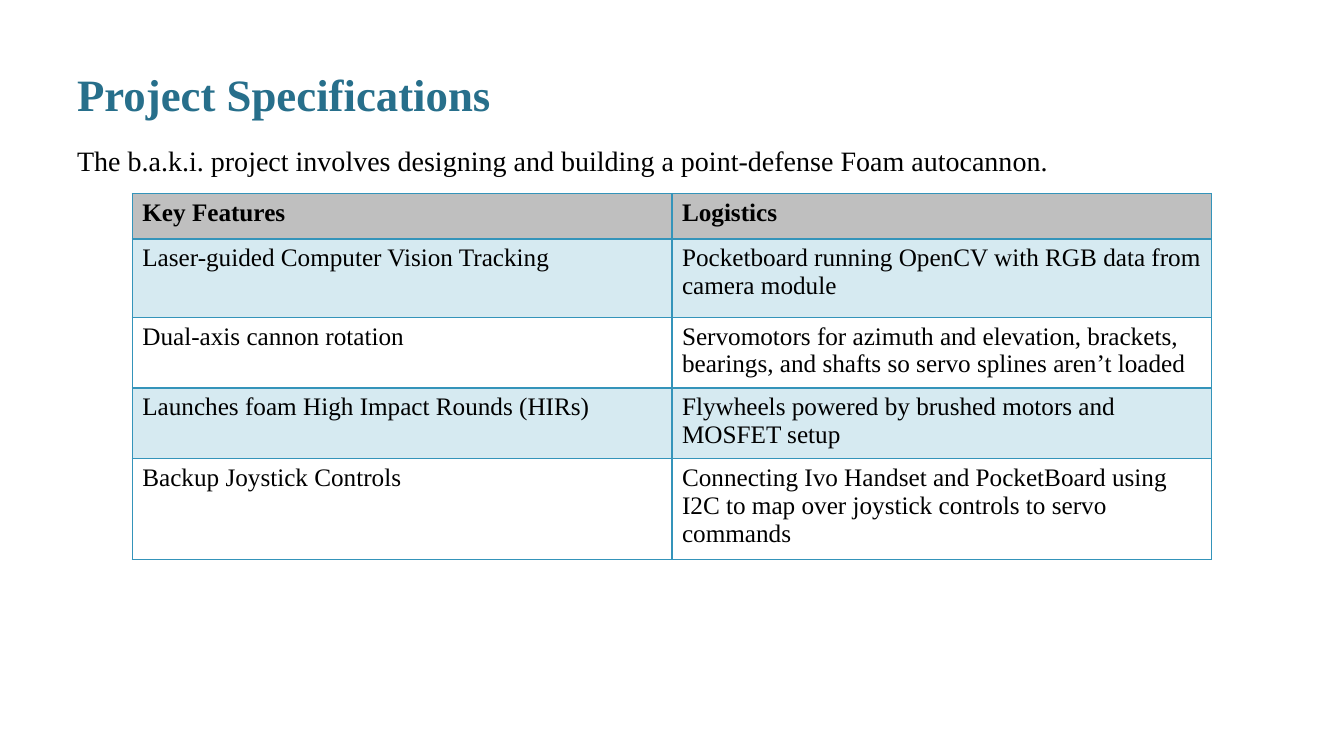
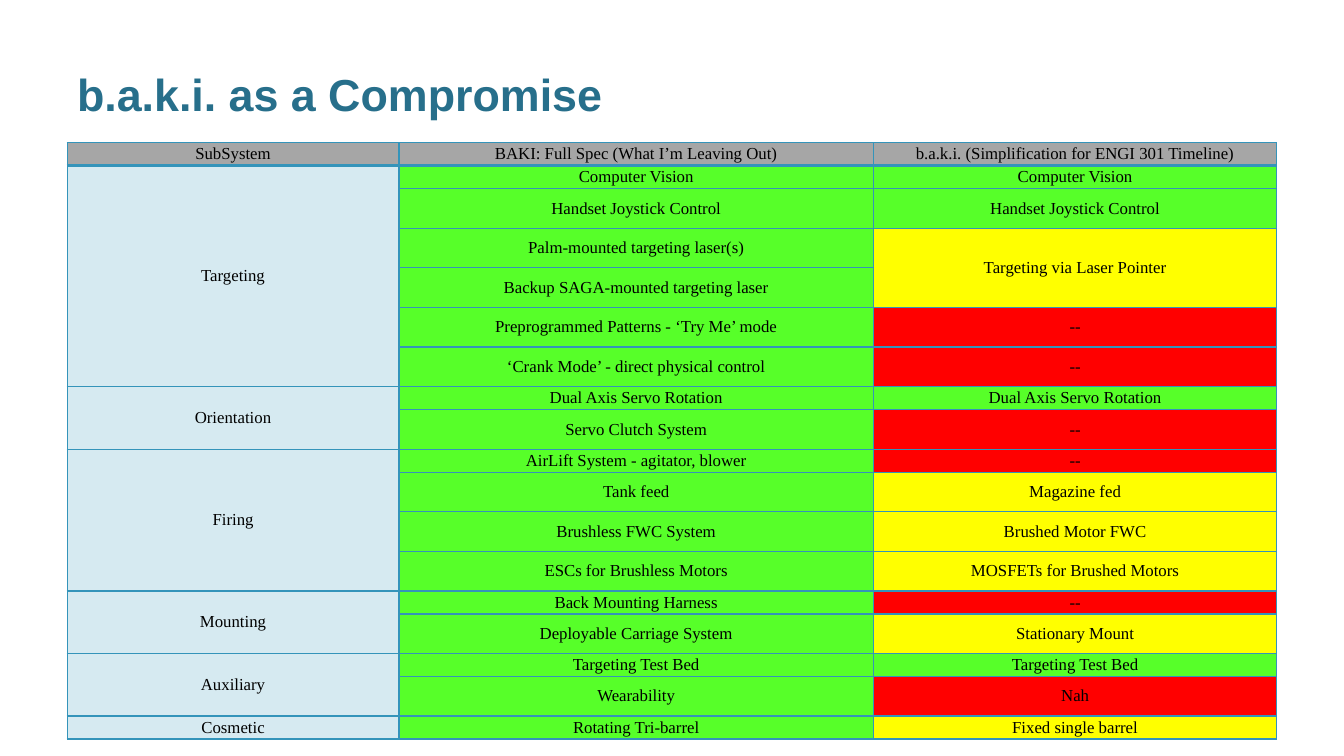
from lxml import etree
from pptx import Presentation
from pptx.dml.color import RGBColor
from pptx.enum.text import MSO_ANCHOR, PP_ALIGN
from pptx.oxml.ns import qn
from pptx.util import Pt

TOP, MIDDLE, BOTTOM = MSO_ANCHOR.TOP, MSO_ANCHOR.MIDDLE, MSO_ANCHOR.BOTTOM
LEFT, CENTER = PP_ALIGN.LEFT, PP_ALIGN.CENTER

TITLE_BLUE = RGBColor(0x27, 0x6F, 0x8B)
BORDER_BLUE = RGBColor(0x34, 0x94, 0xBA)
PALE_BLUE = RGBColor(0xD6, 0xEA, 0xF1)
LIGHT_GRAY = RGBColor(0xBF, 0xBF, 0xBF)
GRAY = RGBColor(0xA6, 0xA6, 0xA6)
BLACK = RGBColor(0, 0, 0)
GREEN = RGBColor(0x57, 0xFF, 0x29)
YELLOW = RGBColor(0xFF, 0xFF, 0)
RED = RGBColor(0xFF, 0, 0)

SERIF, SANS = "Times New Roman", "Arial"
MARGIN, CONTENT_TOP, CONTENT_WIDTH = 48, 102, 864
SHORT_ROW, TALL_ROW = 16.4, 28.3

FEATURES = [
    ("Laser-guided Computer Vision Tracking",
     "Pocketboard running OpenCV with RGB data from camera module"),
    ("Dual-axis cannon rotation",
     "Servomotors for azimuth and elevation, brackets, bearings, and shafts "
     "so servo splines aren’t loaded"),
    ("Launches foam High Impact Rounds (HIRs)",
     "Flywheels powered by brushed motors and MOSFET setup"),
    ("Backup Joystick Controls",
     "Connecting Ivo Handset and PocketBoard using I2C to map over joystick "
     "controls to servo commands"),
]

# Subsystem: (full specification, simplified version, colour of the latter).
# None continues the cell above.
SUBSYSTEMS = {
    "Targeting": [
        ("Computer Vision", "Computer Vision", GREEN),
        ("Handset Joystick Control", "Handset Joystick Control", GREEN),
        ("Palm-mounted targeting laser(s)", "Targeting via Laser Pointer", YELLOW),
        ("Backup SAGA-mounted targeting laser", None, YELLOW),
        ("Preprogrammed Patterns - ‘Try Me’ mode", "--", RED),
        ("‘Crank Mode’ - direct physical control", "--", RED),
    ],
    "Orientation": [
        ("Dual Axis Servo Rotation", "Dual Axis Servo Rotation", GREEN),
        ("Servo Clutch System", "--", RED),
    ],
    "Firing": [
        ("AirLift System - agitator, blower", "--", RED),
        ("Tank feed", "Magazine fed", YELLOW),
        ("Brushless FWC System", "Brushed Motor FWC", YELLOW),
        ("ESCs for Brushless Motors", "MOSFETs for Brushed Motors", YELLOW),
    ],
    "Mounting": [
        ("Back Mounting Harness", "--", RED),
        ("Deployable Carriage System", "Stationary Mount", YELLOW),
    ],
    "Auxiliary": [
        ("Targeting Test Bed", "Targeting Test Bed", GREEN),
        ("Wearability", "Nah", RED),
    ],
    "Cosmetic": [("Rotating Tri-barrel", "Fixed single barrel", YELLOW)],
}


def set_font(paragraph, size, color=BLACK, name=SERIF, bold=False):
    font = paragraph.font
    font.size, font.name, font.bold = Pt(size), name, bold
    font.color.rgb = color


def set_borders(cell, bottom_width, top_width):
    properties = cell._tc.get_or_add_tcPr()
    widths = {"a:lnL": 1, "a:lnR": 1, "a:lnT": top_width, "a:lnB": bottom_width}
    for tag, width in widths.items():
        line = etree.SubElement(properties, qn(tag), w=str(Pt(width)))
        fill = etree.SubElement(line, qn("a:solidFill"))
        etree.SubElement(fill, qn("a:srgbClr"), val=str(BORDER_BLUE))


class Deck:
    def __init__(self):
        self.presentation = Presentation()
        self.presentation.slide_width = Pt(960)
        self.presentation.slide_height = Pt(540)
        self.slide = None

    def add_slide(self, title, title_font):
        layout = self.presentation.slide_layouts[6]
        self.slide = self.presentation.slides.add_slide(layout)
        self.text(title, 18, 72, 32, BOTTOM, TITLE_BLUE, title_font, True)

    def text(self, text, top, height, size, anchor=TOP, color=BLACK,
             name=SERIF, bold=False):
        box = self.slide.shapes.add_textbox(
            Pt(MARGIN), Pt(top), Pt(CONTENT_WIDTH), Pt(height))
        frame = box.text_frame
        frame.word_wrap = True
        frame.vertical_anchor = anchor
        paragraph = frame.paragraphs[0]
        paragraph.text = text
        paragraph.line_spacing = 0.9
        set_font(paragraph, size, color, name, bold)

    def table(self, left, top, widths, heights, rows, size, compact=False,
              bold_header=False):
        """Rows hold (text, fill) cells; a text of None joins the cell above."""
        table = self.slide.shapes.add_table(
            len(rows), len(widths), Pt(left), Pt(top),
            Pt(sum(widths)), Pt(sum(heights))).table
        table.first_row = table.horz_banding = False
        for column, width in zip(table.columns, widths):
            column.width = Pt(width)
        for row, height in zip(table.rows, heights):
            row.height = Pt(height)
        for row_index, row in enumerate(rows):
            for column_index, (text, fill) in enumerate(row):
                cell = table.cell(row_index, column_index)
                set_borders(cell, 2 if row_index == 0 else 1,
                            2 if row_index == 1 else 1)
                self.fill_cell(cell, text or "", fill, size, compact,
                               bold_header and row_index == 0)
        for column_index in range(len(widths)):
            self.merge_column(table, column_index,
                              [row[column_index][0] for row in rows])

    def fill_cell(self, cell, text, fill, size, compact, bold):
        if fill is None:
            cell.fill.background()
        else:
            cell.fill.solid()
            cell.fill.fore_color.rgb = fill
        cell.vertical_anchor = MIDDLE if compact else TOP
        if compact:
            cell.margin_left = cell.margin_right = 0
            cell.margin_top = cell.margin_bottom = 0
        paragraph = cell.text_frame.paragraphs[0]
        paragraph.text = text
        paragraph.alignment = CENTER if compact else LEFT
        set_font(paragraph, size, bold=bold)

    def merge_column(self, table, column, texts):
        starts = [index for index, text in enumerate(texts) if text is not None]
        for start, end in zip(starts, starts[1:] + [len(texts)]):
            if end - start > 1:
                table.cell(start, column).merge(table.cell(end - 1, column))


def add_specifications(deck):
    deck.add_slide("Project Specifications", SERIF)
    deck.text("The b.a.k.i. project involves designing and building a "
              "point-defense Foam autocannon.", CONTENT_TOP, 372, 20)
    rows = [[("Key Features", LIGHT_GRAY), ("Logistics", LIGHT_GRAY)]]
    for index, texts in enumerate(FEATURES):
        fill = PALE_BLUE if index % 2 == 0 else None
        rows.append([(text, fill) for text in texts])
    deck.table(94.5, 138.2, [385.5, 385.5], [32.4, 56.2, 47, 47, 67], rows, 18,
               bold_header=True)


def add_compromise(deck):
    deck.add_slide("b.a.k.i. as a Compromise", SANS)
    headings = ("SubSystem", "BAKI: Full Spec (What I’m Leaving Out)",
                "b.a.k.i. (Simplification for ENGI 301 Timeline)")
    rows = [[(heading, GRAY) for heading in headings]]
    heights = [SHORT_ROW]
    for subsystem, features in SUBSYSTEMS.items():
        for index, (full, simplified, color) in enumerate(features):
            label = subsystem if index == 0 else None
            rows.append([(label, PALE_BLUE), (full, GREEN), (simplified, color)])
            heights.append(SHORT_ROW if index == 0 else TALL_ROW)
    deck.table(MARGIN, CONTENT_TOP, [237, 339, 288], heights, rows, 12,
               compact=True)


def main():
    deck = Deck()
    add_specifications(deck)
    add_compromise(deck)
    deck.presentation.save("out.pptx")


if __name__ == "__main__":
    main()
